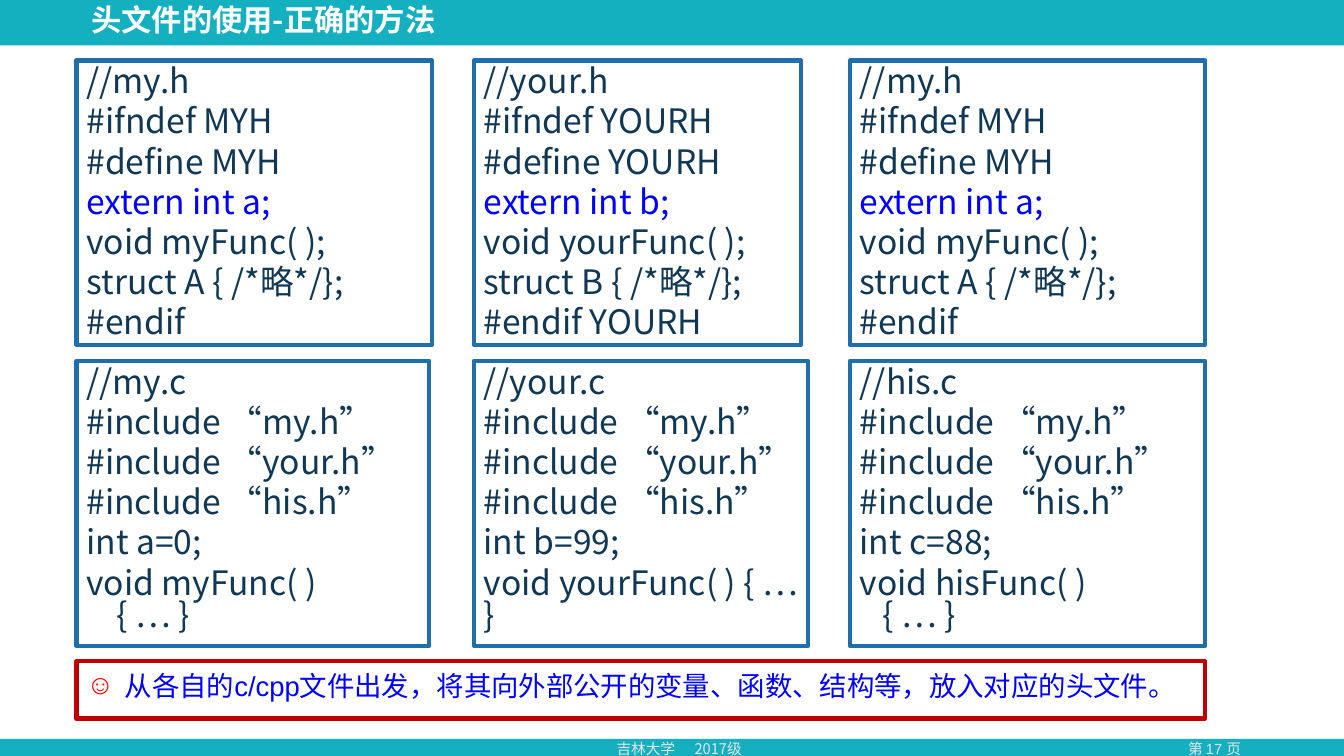
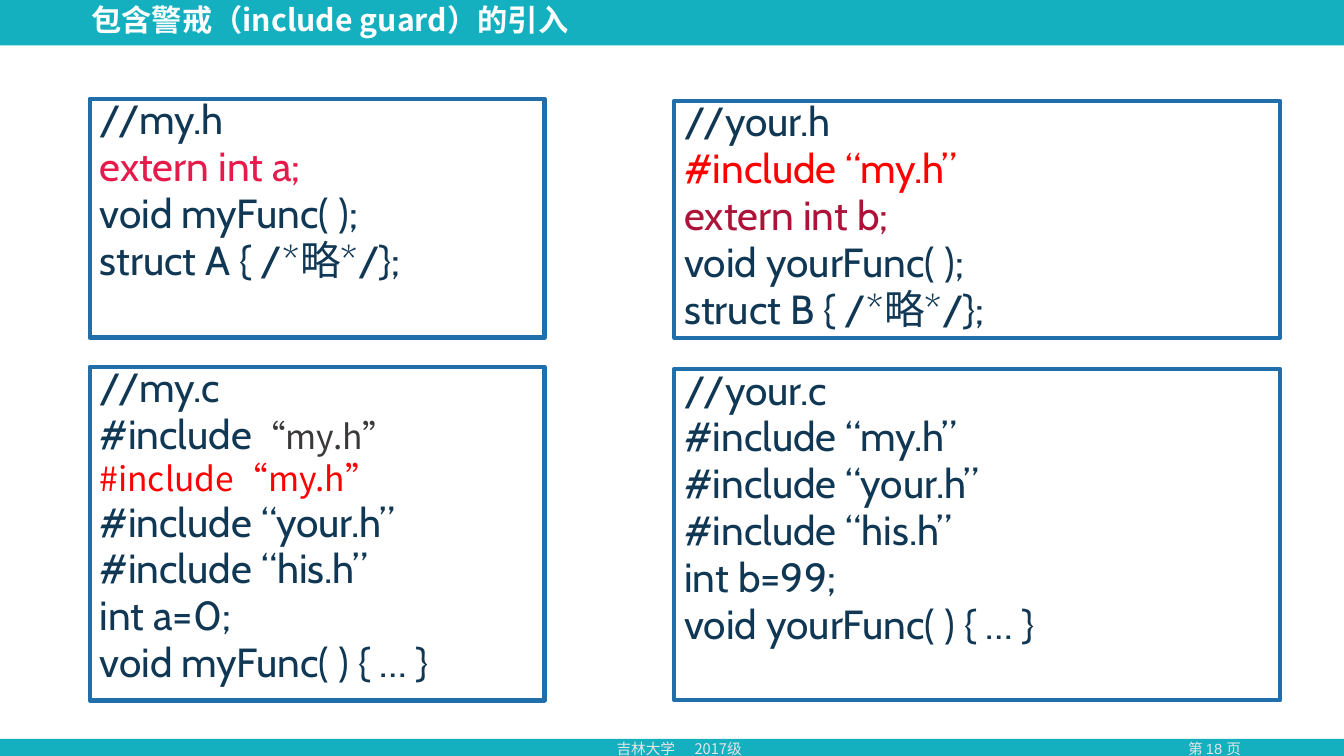
from lxml.etree import SubElement
from pptx import Presentation
from pptx.dml.color import RGBColor
from pptx.enum.shapes import MSO_SHAPE as Preset
from pptx.enum.text import MSO_ANCHOR as Anchor, PP_ALIGN as Align
from pptx.oxml.ns import qn
from pptx.util import Pt

TEAL, WHITE, GREY = "14B0C0", "FFFFFF", "E7E6E6"
NAVY, STEEL, BLUE, RED, CRIMSON = "103754", "206FAA", "0000FF", "FF0000", "C00000"
NOTO, CABIN, ARIAL = "Noto Sans CJK SC", "Cabin", "Arial"


def add_box(slide, left, top, width, height, fill=None, line=None, inset=3.6):
    box = slide.shapes.add_shape(Preset.RECTANGLE, Pt(left), Pt(top), Pt(width), Pt(height))
    box.shadow.inherit = False
    if fill:
        box.fill.solid()
        box.fill.fore_color.rgb = RGBColor.from_string(fill)
    else:
        box.fill.background()
    if line:
        box.line.color.rgb = RGBColor.from_string(line)
        box.line.width = Pt(3)
    else:
        box.line.fill.background()
    frame = box.text_frame
    frame.word_wrap = True
    frame.vertical_anchor = Anchor.TOP
    frame.margin_left = frame.margin_right = Pt(7.2)
    frame.margin_top = frame.margin_bottom = Pt(inset)
    frame.paragraphs[0].alignment = Align.LEFT
    return frame


def add_text(paragraph, text, size, face, colour, bold=False, asian=None):
    for index, part in enumerate(text.split("\n")):
        if index:
            paragraph.add_line_break()
        run = paragraph.add_run()
        run.text = part
        run.font.size = Pt(size)
        run.font.name = face
        run.font.bold = bold
        run.font.color.rgb = RGBColor.from_string(colour)
        SubElement(run.font._element, qn("a:ea")).set("typeface", asian or face)


INCLUDES = ["#include “my.h”", "#include “your.h”", "#include “his.h”"]
MY_H = ["//my.h", "#ifndef MYH", "#define MYH", [("extern int a;", 24, NOTO, BLUE)],
        "void myFunc( );", "struct A { /*略*/};", "#endif"]
YOUR_H = ["//your.h", "#ifndef YOURH", "#define YOURH", [("extern int b;", 24, NOTO, BLUE)],
          "void yourFunc( );", "struct B { /*略*/};", "#endif YOURH"]
YOUR_C = ["//your.c", *INCLUDES, "int b=99;", "void yourFunc( ) { … }"]

pages = [
    ("头文件的使用-正确的方法", 17, 24, NOTO, [
        (54.7, 43.2, 254, 203, MY_H),
        (338.4, 43.2, 234, 203, YOUR_H),
        (607, 43.2, 254, 203, MY_H),
        (54.7, 257.8, 252, 203.5, ["//my.c", *INCLUDES, "int a=0;", "void myFunc( )\n    { … }"]),
        (338.4, 257.8, 239, 203.5, YOUR_C),
        (607, 257.8, 254, 203.5, ["//his.c", *INCLUDES, "int c=88;", "void hisFunc( )\n   { … }"]),
    ]),
    ("包含警戒（include guard）的引入", 18, 29, CABIN, [
        (64, 70.6, 325, 170.6, ["//my.h", [("extern int a;", 29, CABIN, "E61A4B")],
                                "void myFunc( );", "struct A { /*略*/};"]),
        (481.7, 72, 432.7, 169.2, ["//your.h", [("#include “my.h”", 29, CABIN, RED)],
                                   [("extern int b;", 29, CABIN, "AD1338")],
                                   "void yourFunc( );", "struct B { /*略*/};"]),
        (64, 262, 325, 238.3, ["//my.c",
                               [("#include", 29, CABIN, NAVY), ("“my.h”", 24, NOTO, "3B3838")],
                               [("#include“my.h”", 24, NOTO, RED)],
                               *INCLUDES[1:], "int a=0;", "void myFunc( ) { … }"]),
        (481.7, 263.5, 432.7, 236.8, YOUR_C),
    ]),
]

deck = Presentation()
deck.slide_width, deck.slide_height = Pt(960), Pt(540)

for heading, number, size, face, panels in pages:
    slide = deck.slides.add_slide(deck.slide_layouts[6])
    add_box(slide, 0, 0, 960, 32.4, fill=TEAL)
    add_box(slide, 0, 527.8, 960, 12.2, fill=TEAL)

    title = add_box(slide, 58.3, 0, 684, 31.7)
    title.vertical_anchor = Anchor.MIDDLE
    title.paragraphs[0].line_spacing = 0.9
    add_text(title.paragraphs[0], heading, 21.6, NOTO, WHITE, bold=True)

    school = add_box(slide, 433.4, 524.9, 132.5, 20).paragraphs[0]
    stops = SubElement(school._p.get_or_add_pPr(), qn("a:tabLst"))
    stop = SubElement(stops, qn("a:tab"))
    stop.set("pos", str(Pt(55.7)))
    stop.set("algn", "l")
    add_text(school, "吉林大学\t2017级", 10.5, NOTO, GREY)

    folio = add_box(slide, 815, 524.9, 105, 20).paragraphs[0]
    folio.alignment = Align.CENTER
    add_text(folio, f"第 {number} 页", 10.5, ARIAL, GREY, asian=NOTO)

    for left, top, width, height, lines in panels:
        code = add_box(slide, left, top, width, height, line=STEEL,
                       inset=5.6 if face == NOTO else 3.6)
        for index, line in enumerate(lines):
            runs = [(line, size, face, NAVY)] if isinstance(line, str) else line
            paragraph = code.add_paragraph() if index else code.paragraphs[0]
            paragraph.alignment = Align.LEFT
            paragraph.line_spacing = Pt(23) if runs[0][2] == NOTO else 0.8
            if index:
                paragraph.space_before = Pt(5.7)
            for run in runs:
                add_text(paragraph, *run)

advice = add_box(deck.slides[0], 54.7, 472.3, 806, 41, line=CRIMSON)
advice.vertical_anchor = Anchor.MIDDLE
rule = advice.paragraphs[0]
rule.line_spacing = 0.7
properties = rule._p.get_or_add_pPr()
properties.set("marL", str(Pt(27.4)))
properties.set("indent", str(-Pt(27.4)))
bullet_colour = SubElement(properties, qn("a:buClr"))
SubElement(bullet_colour, qn("a:srgbClr")).set("val", RED)
SubElement(properties, qn("a:buFont")).set("typeface", ARIAL)
SubElement(properties, qn("a:buChar")).set("char", "☺")
add_text(rule, "从各自的c/cpp文件出发，将其向外部公开的变量、函数、结构等，放入对应的头文件。",
         19.6, ARIAL, BLUE, asian=NOTO)

deck.save("out.pptx")
